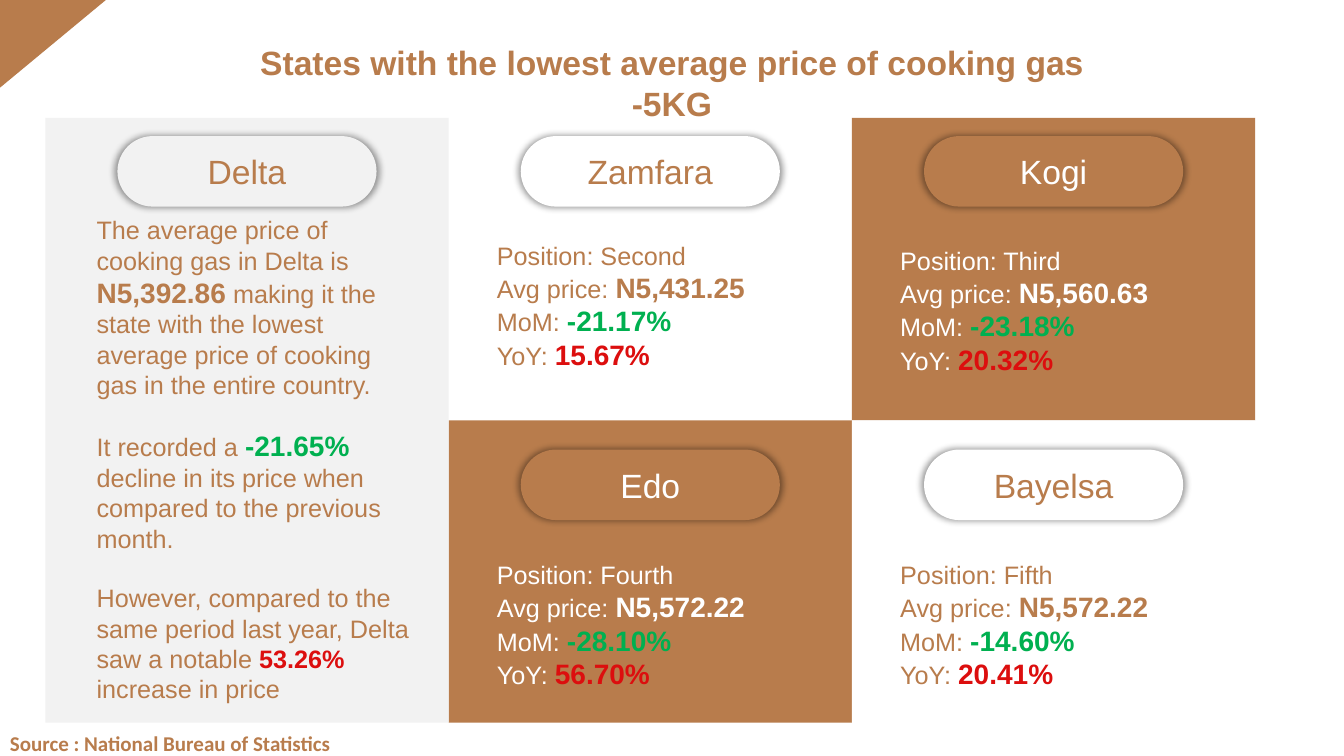
import pptx
import pptx.util
import pptx.dml.color
import pptx.enum.shapes
import pptx.enum.text
import pptx.oxml
import pptx.oxml.ns
from dataclasses import dataclass

SHAPE = pptx.enum.shapes.MSO_SHAPE
ALIGN = pptx.enum.text.PP_ALIGN
ANCHOR = pptx.enum.text.MSO_ANCHOR


@dataclass(frozen=True)
class Theme:
    brown: str = "B87C4C"
    white: str = "FFFFFF"
    grey: str = "F2F2F2"
    fall: str = "00B050"
    rise: str = "DC0E0E"
    font: str = "Arial"
    source_font: str = "Calibri"
    heading: int = 24
    figure: int = 20
    body: int = 18
    source: int = 15


THEME = Theme()
LEFT, TOP = 0.45, 1.17
COLUMN, ROW = 4, 3
PILL_WIDTH, PILL_HEIGHT = 2.57, 0.7
PILL_TOPS = (0.18, 0.29)
FACTS_INSET = 0.38


@dataclass(frozen=True)
class State:
    name: str
    column: int
    row: int
    fill: str
    ink: str
    facts_top: float
    position: str
    price: str
    monthly: str
    yearly: str


STATES = (
    State("Zamfara", 1, 0, THEME.white, THEME.brown, 1.16, "Second", "N5,431.25", "-21.17%", "15.67%"),
    State("Kogi", 2, 0, THEME.brown, THEME.white, 1.21, "Third", "N5,560.63", "-23.18%", "20.32%"),
    State("Edo", 1, 1, THEME.brown, THEME.white, 1.33, "Fourth", "N5,572.22", "-28.10%", "56.70%"),
    State("Bayelsa", 2, 1, THEME.white, THEME.brown, 1.33, "Fifth", "N5,572.22", "-14.60%", "20.41%"),
)


def rgb(colour):
    return pptx.dml.color.RGBColor.from_string(colour)


def inches(*lengths):
    return [pptx.util.Inches(length) for length in lengths]


def style(font, size, colour, bold=False, name=THEME.font):
    font.name = name
    font.size = pptx.util.Pt(size)
    font.bold = bold
    font.color.rgb = rgb(colour)


def add_block(shapes, preset, box, fill):
    block = shapes.add_shape(preset, *inches(*box))
    block.shadow.inherit = False
    block.fill.solid()
    block.fill.fore_color.rgb = rgb(fill)
    block.line.fill.background()
    return block


def add_glow(block):
    effects = block.element.spPr.find(pptx.oxml.ns.qn("a:effectLst"))
    effects.append(pptx.oxml.parse_xml(
        f'<a:outerShdw {pptx.oxml.ns.nsdecls("a")} blurRad="63500" sx="102000" sy="102000" '
        'algn="ctr" rotWithShape="0"><a:srgbClr val="000000"><a:alpha val="40000"/>'
        '</a:srgbClr></a:outerShdw>'))


def add_panel(slide, column, row, row_span, name, fill, ink):
    panel = slide.shapes.add_group_shape()
    left, top = LEFT + column * COLUMN, TOP + row * ROW
    add_block(panel.shapes, SHAPE.RECTANGLE, (left, top, COLUMN, row_span * ROW), fill)
    pill_left = left + (COLUMN - PILL_WIDTH) / 2
    pill = add_block(panel.shapes, SHAPE.ROUNDED_RECTANGLE,
                     (pill_left, top + PILL_TOPS[row], PILL_WIDTH, PILL_HEIGHT), fill)
    pill.adjustments[0] = 0.5
    add_glow(pill)
    label = pill.text_frame.paragraphs[0]
    label.text = name
    label.alignment = ALIGN.CENTER
    style(label.font, THEME.heading, ink)
    return panel.shapes, left, top


def add_text(shapes, box, paragraphs, ink, gap=0):
    frame = shapes.add_textbox(*inches(*box)).text_frame
    frame.word_wrap = True
    for index, pieces in enumerate(paragraphs):
        paragraph = frame.paragraphs[0] if index == 0 else frame.add_paragraph()
        paragraph.space_after = pptx.util.Pt(gap if index < len(paragraphs) - 1 else 0)
        style(paragraph.font, THEME.body, ink)
        for words, size, colour in pieces:
            run = paragraph.add_run()
            run.text = words
            style(run.font, size, colour, bold=colour != ink or size != THEME.body)


def add_state(slide, state):
    shapes, left, top = add_panel(slide, state.column, state.row, 1, state.name, state.fill, state.ink)
    facts = [[("Position: " + state.position, THEME.body, state.ink)]]
    for caption, value, colour in (("Avg price: ", state.price, state.ink),
                                   ("MoM: ", state.monthly, THEME.fall),
                                   ("YoY: ", state.yearly, THEME.rise)):
        facts.append([(caption, THEME.body, state.ink), (value, THEME.figure, colour)])
    add_text(shapes, (left + FACTS_INSET, top + state.facts_top, 3.22, 1.41), facts, state.ink)


def add_delta(slide):
    shapes, left, top = add_panel(slide, 0, 0, 2, "Delta", THEME.grey, THEME.brown)
    body, ink = THEME.body, THEME.brown
    story = [
        [("The average price of cooking gas in Delta is ", body, ink),
         ("N5,392.86", THEME.figure, ink),
         (" making it the state with the lowest average price of cooking gas in the entire country.", body, ink)],
        [("It recorded a ", body, ink), ("-21.65% ", THEME.figure, THEME.fall),
         ("decline in its price when compared to the previous month.", body, ink)],
        [("However, compared to the same period last year, Delta saw a notable", body, ink),
         (" 53.26%", body, THEME.rise), (" increase in price", body, ink)],
    ]
    add_text(shapes, (left + 0.41, top + 0.91, 3.33, 5.02), story, ink, gap=21)


def add_title(slide):
    title = slide.shapes.title
    title.left, title.top, title.width, title.height = inches(2.08, 0.37, 9.17, 0.5)
    title.text_frame.vertical_anchor = ANCHOR.TOP
    title.text_frame.word_wrap = True
    heading = title.text_frame.paragraphs[0]
    heading.text = "States with the lowest average price of cooking gas -5KG"
    heading.alignment = ALIGN.CENTER
    style(heading.font, THEME.heading, THEME.brown, bold=True)


def add_source(slide):
    frame = slide.shapes.add_textbox(*inches(0, 7.2, 3.72, 0.35)).text_frame
    frame.word_wrap = True
    source = frame.paragraphs[0]
    source.text = "Source : National Bureau of Statistics"
    style(source.font, THEME.source, THEME.brown, bold=True, name=THEME.source_font)


def main():
    deck = pptx.Presentation()
    deck.slide_width, deck.slide_height = inches(13.33, 7.5)
    slide = deck.slides.add_slide(deck.slide_layouts.get_by_name("Title Only"))
    corner = add_block(slide.shapes, SHAPE.RIGHT_TRIANGLE, (0.09, -0.09, 0.87, 1.05), THEME.brown)
    corner.rotation = 90
    add_title(slide)
    for state in STATES:
        add_state(slide, state)
    add_delta(slide)
    add_source(slide)
    deck.save("out.pptx")


if __name__ == "__main__":
    main()
